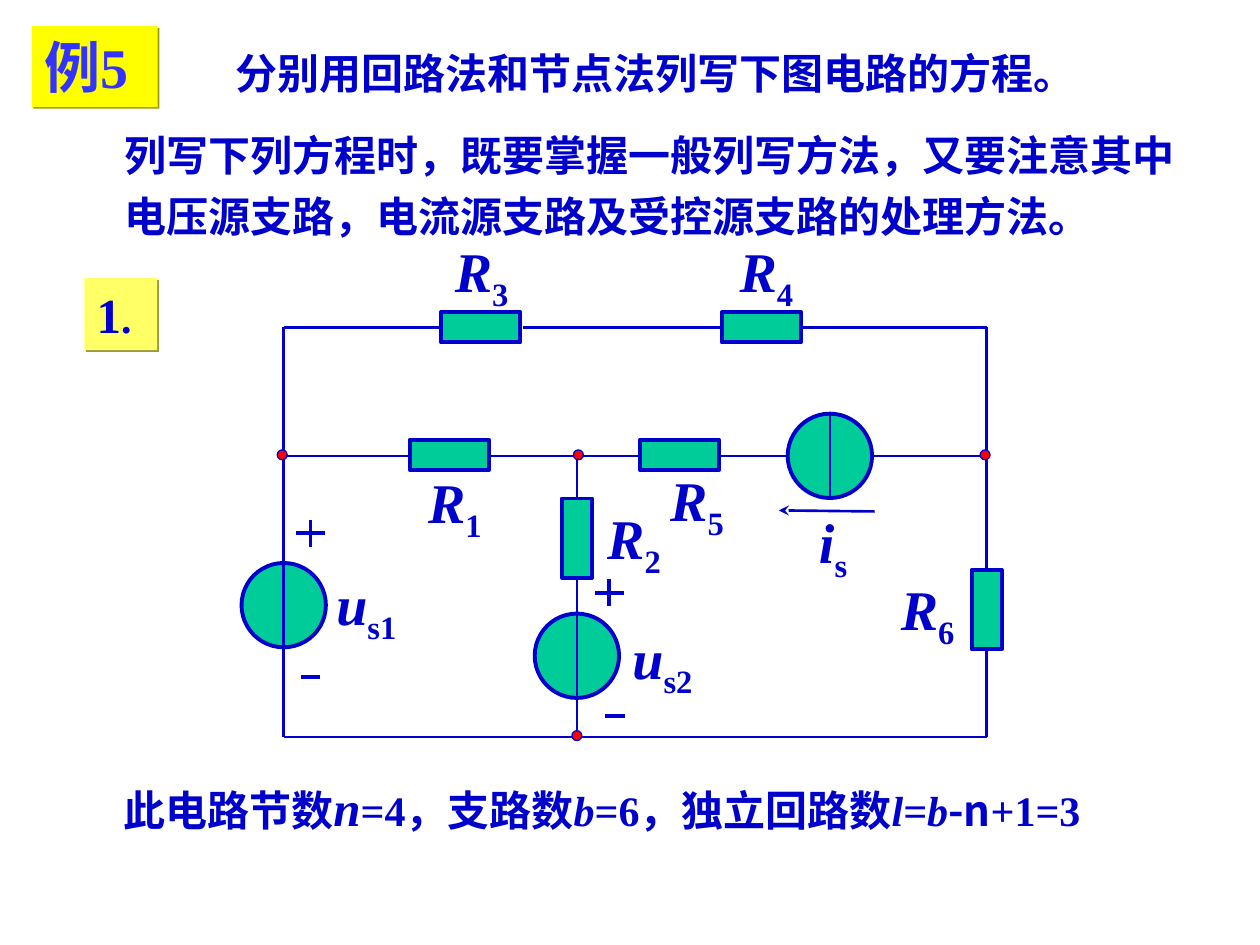
from typing import NamedTuple

from lxml.etree import SubElement as Sub
from pptx import Presentation
from pptx.dml.color import RGBColor
from pptx.enum.shapes import MSO_CONNECTOR as Link, MSO_SHAPE as Kind
from pptx.enum.text import MSO_ANCHOR as Anchor
from pptx.oxml.ns import qn
from pptx.util import Cm, Pt

BLUE, GREEN, RED = "0000CC", "00CC99", "FF0000"
SERIF, SANS = "Times New Roman", "Noto Sans CJK SC"
# Circuit columns and rows, in cm
LEFT, MID, RIGHT = 5.72, 11.63, 19.89
TOP, ROW, BASE = 6.6, 9.19, 14.86


class Run(NamedTuple):
    text: str
    size: float = 24
    italic: bool = False
    font: str = SERIF
    sub: bool = False


class Label(NamedTuple):
    name: str
    sub: str
    x: float
    y: float
    w: float = 2.16


class Part(NamedTuple):
    x: float
    y: float
    turn: int = 0


def color(code: str) -> RGBColor:
    return RGBColor.from_string(code)


def write(shape, runs: list[Run], ink: str = BLUE, space: float = 1.0) -> None:
    frame = shape.text_frame
    frame.word_wrap = True
    para = frame.paragraphs[0]
    para.line_spacing = space
    para.font.bold = True
    para.font.color.rgb = color(ink)
    for item in runs:
        run = para.add_run()
        run.text = item.text
        run.font.size = Pt(item.size)
        run.font.name = item.font
        run.font.bold = True
        run.font.italic = item.italic
        run.font.color.rgb = color(ink)
        if item.sub:
            run._r.get_or_add_rPr().set("baseline", "-25000")


def text(x: float, y: float, w: float, h: float, runs: list[Run],
         space: float = 1.0):
    box = slide.shapes.add_textbox(Cm(x), Cm(y), Cm(w), Cm(h))
    write(box, runs, space=space)
    return box


def badge(x: float, y: float, w: float, h: float, fill: str, shade: str,
          runs: list[Run], ink: str) -> None:
    box = slide.shapes.add_shape(Kind.RECTANGLE, Cm(x), Cm(y), Cm(w), Cm(h))
    box.fill.solid()
    box.fill.fore_color.rgb = color(fill)
    box.line.fill.background()
    box.shadow.inherit = False
    cast = Sub(box._element.spPr.find(qn("a:effectLst")), qn("a:outerShdw"),
               dist="17780", dir="2700000", algn="ctr", rotWithShape="0")
    Sub(cast, qn("a:srgbClr"), val=shade)
    write(box, runs, ink)
    box.text_frame.vertical_anchor = Anchor.TOP
    box.text_frame.paragraphs[0].alignment = 1


def solid(kind: Kind, part: Part, w: float, h: float, fill: str,
          line: float) -> None:
    """Draw a filled part around its centre."""
    shape = slide.shapes.add_shape(kind, Cm(part.x - w / 2),
                                   Cm(part.y - h / 2), Cm(w), Cm(h))
    shape.rotation = part.turn
    shape.shadow.inherit = False
    shape.fill.solid()
    shape.fill.fore_color.rgb = color(fill)
    shape.line.color.rgb = color(BLUE)
    shape.line.width = Pt(line)


def wire(x1: float, y1: float, x2: float, y2: float, width: float = 1.5,
         arrow: bool = False) -> None:
    line = slide.shapes.add_connector(Link.STRAIGHT, Cm(x1), Cm(y1),
                                      Cm(x2), Cm(y2))
    line.line.color.rgb = color(BLUE)
    line.line.width = Pt(width)
    if arrow:
        Sub(line.line._get_or_add_ln(), qn("a:tailEnd"), type="stealth")
    Sub(line._element.spPr, qn("a:effectLst"))


def minus(x: float, y: float, half: float = 0.2) -> None:
    wire(x - half, y, x + half, y, 2.25)


def plus(x: float, y: float) -> None:
    minus(x, y, 0.29)
    wire(x, y - 0.27, x, y + 0.27, 2.25)


deck = Presentation()
deck.slide_width, deck.slide_height = Cm(25.4), Cm(19.05)
slide = deck.slides.add_slide(deck.slide_layouts[6])

# Task, advice and result
text(4.5, 0.84, 19.46, 1.27, [Run("分别用回路法和节点法列写下图电路的方程。")])
text(2.26, 2.29, 22.02, 2.69, [Run(
    "列写下列方程时，既要掌握一般列写方法，又要注意其中"
    "电压源支路，电流源支路及受控源支路的处理方法。")], 1.2)
result = text(2.24, 15.04, 20.32, 2.46, [
    Run("此电路节数"), Run("n", 28, True), Run("=4，支路数"),
    Run("b", italic=True), Run("=6，独立回路数"), Run("l=b", italic=True),
    Run("-n", font=SANS), Run("+1=3")])
result.text_frame.vertical_anchor = Anchor.MIDDLE

# Yellow badges
badge(1.7, 5.61, 1.47, 1.45, "FFFF66", "99993D", [Run("1", 28), Run(".")], BLUE)
badge(0.64, 0.53, 2.54, 1.63, "FFFF00", "999900", [Run("例5", 32)], "3333FF")

# Sources, under the wires that cross them
for part in (Part(LEFT, 12.2), Part(MID, 13.22), Part(16.73, ROW)):
    solid(Kind.OVAL, part, 1.7, 1.7, GREEN, 2.25)

# Wires: spans along each row, then along each column
ROWS = {
    TOP: [(LEFT, 8.89), (10.54, 14.6), (16.03, RIGHT)],
    ROW: [(LEFT, 8.26), (9.75, 12.88), (14.5, 15.88), (17.58, RIGHT)],
    BASE: [(LEFT, RIGHT)],
}
COLS = {
    LEFT: [(TOP, 11.46), (11.33, 13.13), (13.11, BASE)],
    MID: [(ROW, 10.24), (11.68, 12.32), (12.32, 14), (13.59, BASE)],
    RIGHT: [(TOP, 11.48), (13.13, BASE)],
    16.73: [(8.33, 10.03)],
}
for y, spans in ROWS.items():
    for start, end in spans:
        wire(start, y, end, y)
for x, spans in COLS.items():
    for start, end in spans:
        wire(x, start, x, end)
wire(17.63, 10.31, 15.7, 10.29, arrow=True)

# Resistors
for part in (Part(9.69, TOP), Part(15.35, TOP), Part(9.06, 9.17),
             Part(13.7, 9.17), Part(MID, 10.85, 90), Part(RIGHT, 12.29, 90)):
    solid(Kind.RECTANGLE, part, 1.6, 0.61, GREEN, 2.25)

# Nodes
for part in (Part(5.69, 9.17), Part(11.66, 9.17), Part(19.86, 9.17),
             Part(11.63, 14.83)):
    solid(Kind.OVAL, part, 0.2, 0.2, RED, 0.75)

# Polarity marks
plus(6.26, 10.75)
minus(6.26, 13.64)
plus(12.28, 11.95)
minus(12.4, 14.43)

# Labels
for tag in (Label("R", "3", 8.92, 4.65), Label("R", "4", 14.66, 4.65),
            Label("R", "1", 8.38, 9.3), Label("R", "5", 13.26, 9.25),
            Label("R", "2", 11.99, 10.03, 1.7), Label("R", "6", 17.91, 11.46),
            Label("u", "s1", 6.53, 11.35, 1.9),
            Label("u", "s2", 12.5, 12.45, 2.11),
            Label("i", "s", 16.26, 10.11, 1.47)):
    text(tag.x, tag.y, tag.w, 1.8,
         [Run(tag.name, 32, True), Run(tag.sub, 32, sub=True)])

deck.save("out.pptx")
